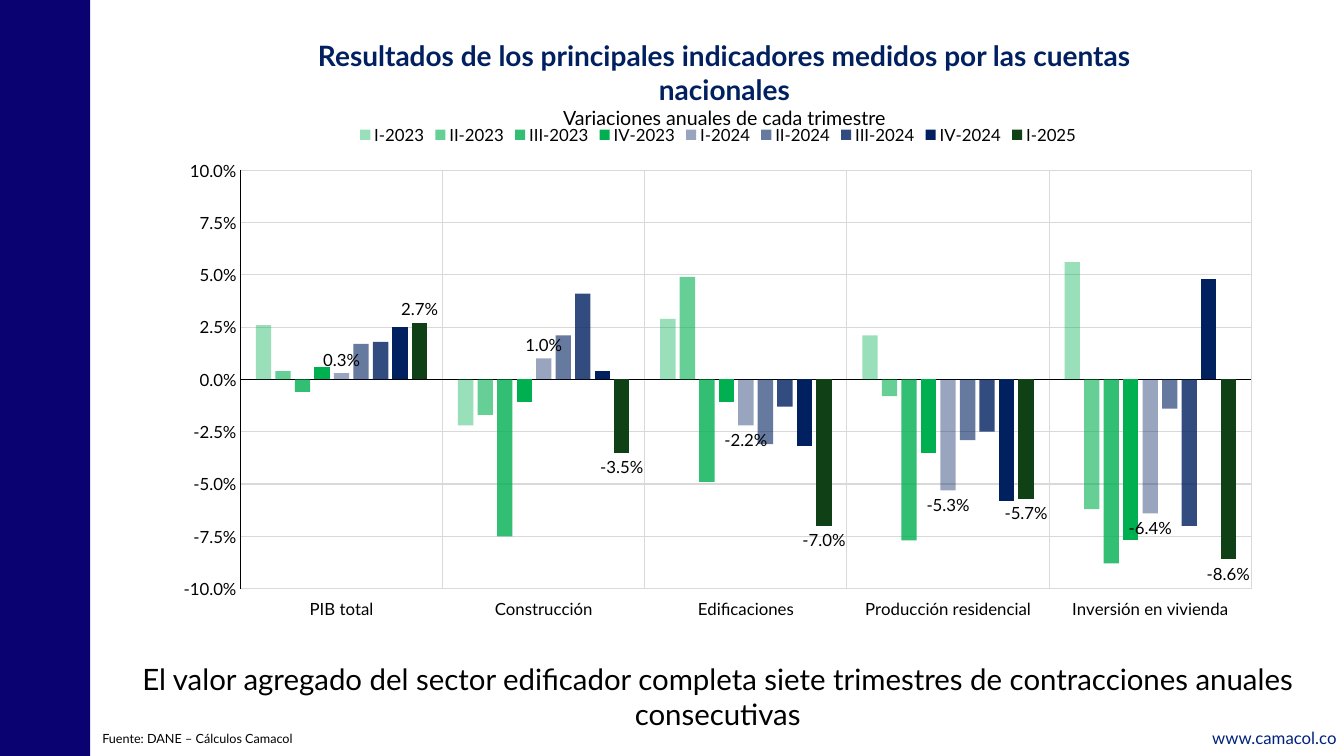
from lxml import etree
from pptx import Presentation
from pptx.chart.data import CategoryChartData
from pptx.dml.color import RGBColor
from pptx.enum.chart import (XL_CHART_TYPE, XL_LABEL_POSITION, XL_LEGEND_POSITION,
                             XL_TICK_LABEL_POSITION, XL_TICK_MARK)
from pptx.enum.shapes import MSO_SHAPE
from pptx.enum.text import MSO_ANCHOR, MSO_AUTO_SIZE, PP_ALIGN
from pptx.oxml.ns import qn
from pptx.util import Emu, Pt

CLUSTERED = XL_CHART_TYPE.COLUMN_CLUSTERED
OUTSIDE_END = XL_LABEL_POSITION.OUTSIDE_END
LEGEND_TOP = XL_LEGEND_POSITION.TOP
LABELS_LOW = XL_TICK_LABEL_POSITION.LOW
NO_TICK = XL_TICK_MARK.NONE
RECTANGLE = MSO_SHAPE.RECTANGLE
TOP = MSO_ANCHOR.TOP
NO_AUTOFIT = MSO_AUTO_SIZE.NONE
LEFT, CENTER, RIGHT = PP_ALIGN.LEFT, PP_ALIGN.CENTER, PP_ALIGN.RIGHT

EMU_PER_PX = 9525
FONT = "Lato"
PERCENT = "0.0%"
COLORS = {
    "band": "0B0272", "web": "00227C", "text": "000000", "navy": "002060",
    "green": "00B050", "dark_green": "0F4016", "grid": "D9D9D9",
}
INDICATORS = ["PIB total", "Construcción", "Edificaciones",
              "Producción residencial", "Inversión en vivienda"]
# Quarter, values by indicator, colour, opacity in percent, labelled
QUARTERS = [
    ("I-2023", (0.026, -0.022, 0.029, 0.021, 0.056), "green", 40, False),
    ("II-2023", (0.004, -0.017, 0.049, -0.008, -0.062), "green", 60, False),
    ("III-2023", (-0.006, -0.075, -0.049, -0.077, -0.088), "green", 80, False),
    ("IV-2023", (0.006, -0.011, -0.011, -0.035, -0.077), "green", 100, False),
    ("I-2024", (0.003, 0.01, -0.022, -0.053, -0.064), "navy", 40, True),
    ("II-2024", (0.017, 0.021, -0.031, -0.029, -0.014), "navy", 60, False),
    ("III-2024", (0.018, 0.041, -0.013, -0.025, -0.07), "navy", 80, False),
    ("IV-2024", (0.025, 0.004, -0.032, -0.058, 0.048), "navy", 100, False),
    ("I-2025", (0.027, -0.035, -0.07, -0.057, -0.086), "dark_green", 100, True),
]
# Plot area as fractions of the chart
PLOT_AREA = {"x": 0.07, "y": 0.11, "w": 0.91, "h": 0.81}


def px(length):
    return Emu(length * EMU_PER_PX)


def box(left, top, width, height):
    return px(left), px(top), px(width), px(height)


def rgb(name):
    return RGBColor.from_string(COLORS[name])


def style_font(font, size, color="text", bold=False):
    font.name = FONT
    font.size = Pt(size)
    font.bold = bold
    font.color.rgb = rgb(color)


def add_band(slide, bounds):
    band = slide.shapes.add_shape(RECTANGLE, *box(*bounds))
    band.shadow.inherit = False
    band.fill.solid()
    band.fill.fore_color.rgb = rgb("band")
    band.line.fill.background()


def add_text(slide, text, bounds, size, color="text", align=LEFT):
    frame = slide.shapes.add_textbox(*box(*bounds)).text_frame
    frame.word_wrap = True
    line = frame.paragraphs[0]
    line.text = text
    line.alignment = align
    style_font(line.font, size, color)
    return frame


def set_title(slide, heading, subtitle, bounds):
    title = slide.shapes.title
    title.left, title.top, title.width, title.height = box(*bounds)
    frame = title.text_frame
    frame.auto_size = NO_AUTOFIT
    frame.vertical_anchor = TOP
    frame.text = f"{heading}\n{subtitle}"
    for line in frame.paragraphs:
        line.alignment = CENTER
    style_font(frame.paragraphs[0].font, 20, "navy", True)
    style_font(frame.paragraphs[1].font, 14)


def style_axis(axis):
    axis.major_tick_mark = axis.minor_tick_mark = NO_TICK
    axis.has_major_gridlines = True
    for line, color in ((axis.format.line, "text"),
                        (axis.major_gridlines.format.line, "grid")):
        line.width = Pt(0.75)
        line.color.rgb = rgb(color)
    style_font(axis.tick_labels.font, 12)


def style_series(series, color, opacity, labelled):
    series.invert_if_negative = False
    fill = series.format.fill
    fill.solid()
    fill.fore_color.rgb = rgb(color)
    if opacity < 100:
        tint = series.format._element.find(".//" + qn("a:srgbClr"))
        etree.SubElement(tint, qn("a:alpha")).set("val", str(opacity * 1000))
    if labelled:
        labels = series.data_labels
        labels.show_value = True
        labels.position = OUTSIDE_END
        labels.number_format = PERCENT
        labels.number_format_is_linked = False
        style_font(labels.font, 12)


def place_plot(chart):
    plot_area = chart._chartSpace.chart.plotArea
    for old in plot_area.findall(qn("c:layout")):
        plot_area.remove(old)
    layout = etree.Element(qn("c:layout"))
    plot_area.insert(0, layout)
    manual = etree.SubElement(layout, qn("c:manualLayout"))
    settings = {"layoutTarget": "inner", "xMode": "edge", "yMode": "edge", **PLOT_AREA}
    for tag, value in settings.items():
        etree.SubElement(manual, qn("c:" + tag)).set("val", str(value))


def add_indicator_chart(slide, bounds):
    data = CategoryChartData(number_format=PERCENT)
    data.categories = INDICATORS
    for quarter, values, *_ in QUARTERS:
        data.add_series(quarter, values)
    chart = slide.shapes.add_chart(CLUSTERED, *box(*bounds), data).chart
    style_font(chart.font, 12)
    chart.has_title = False

    # Legend
    chart.has_legend = True
    chart.legend.position = LEGEND_TOP
    chart.legend.include_in_layout = False
    style_font(chart.legend.font, 12)

    # Axes
    indicator_axis, change_axis = chart.category_axis, chart.value_axis
    style_axis(indicator_axis)
    style_axis(change_axis)
    indicator_axis.tick_label_position = LABELS_LOW
    change_axis.minimum_scale, change_axis.maximum_scale = -0.1, 0.1
    change_axis.major_unit = 0.025
    change_axis.tick_labels.number_format = PERCENT
    change_axis.tick_labels.number_format_is_linked = False

    # Columns
    columns = chart.plots[0]
    columns.vary_by_categories = False
    columns.gap_width, columns.overlap = 200, -27
    for series, (_, _, color, opacity, labelled) in zip(columns.series, QUARTERS):
        style_series(series, color, opacity, labelled)
    place_plot(chart)


def main():
    deck = Presentation()
    deck.slide_width, deck.slide_height = px(1280), px(720)
    slide = deck.slides.add_slide(deck.slide_layouts[5])

    # Side band and footer
    add_band(slide, (0, 0, 86, 720))
    web = add_text(slide, "www.camacol.co", (996, 689, 277, 23), 12, "web", RIGHT)
    web.margin_left = web.margin_top = web.margin_right = web.margin_bottom = 0
    web.paragraphs[0].line_spacing = 1.2
    add_text(slide, "Fuente: DANE – Cálculos Camacol", (88, 691, 900, 24), 9)

    # Message and heading
    add_text(slide, "El valor agregado del sector edificador completa siete trimestres "
             "de contracciones anuales consecutivas", (98, 625, 1171, 43), 21, align=CENTER)
    set_title(slide, "Resultados de los principales indicadores medidos por las cuentas "
              "nacionales", "Variaciones anuales de cada trimestre", (245, 32, 890, 64))

    # Chart
    add_indicator_chart(slide, (155, 108, 1058, 492))
    deck.save("out.pptx")


if __name__ == "__main__":
    main()
